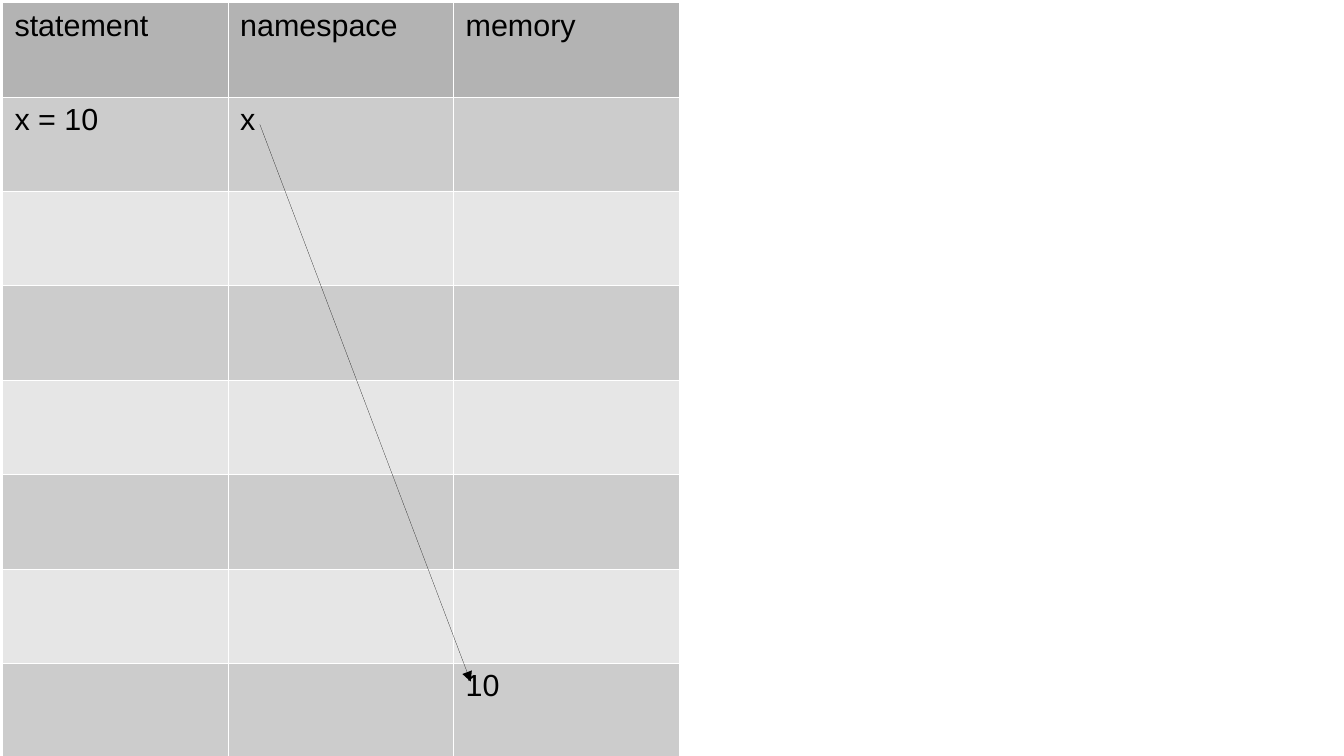
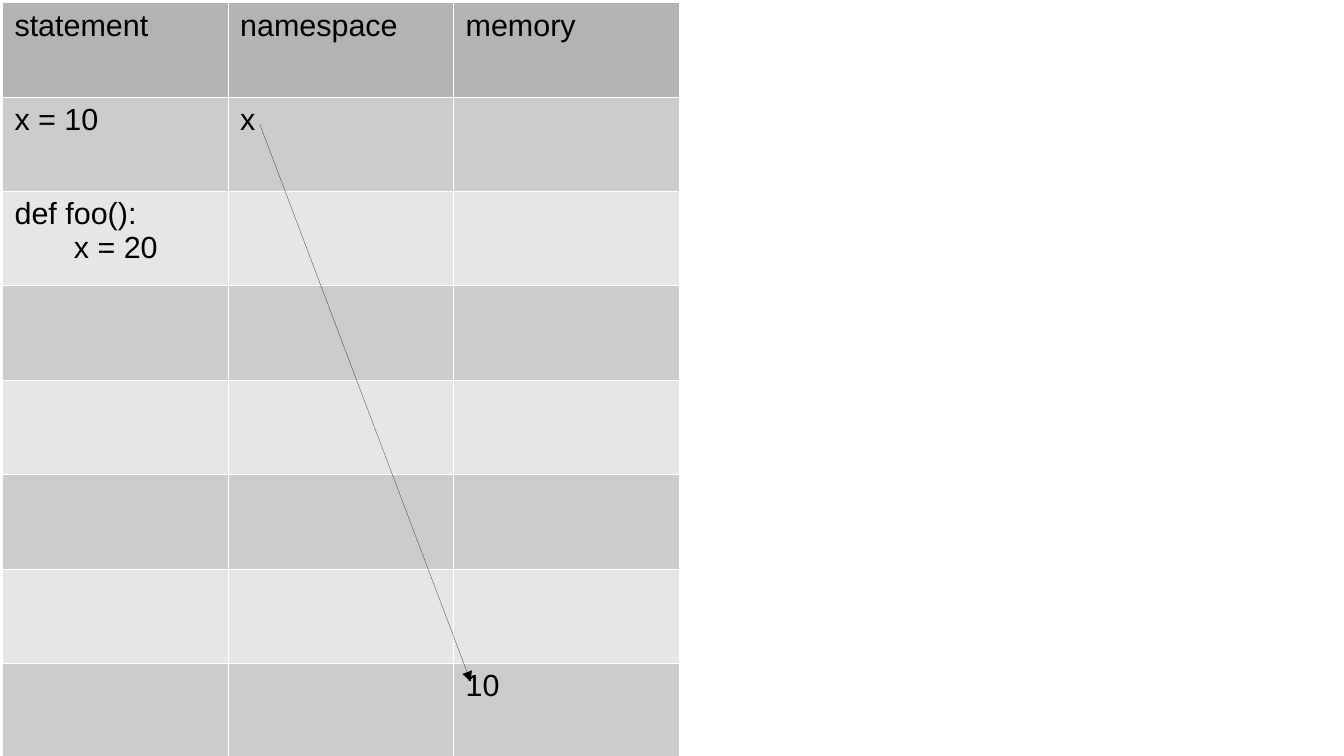
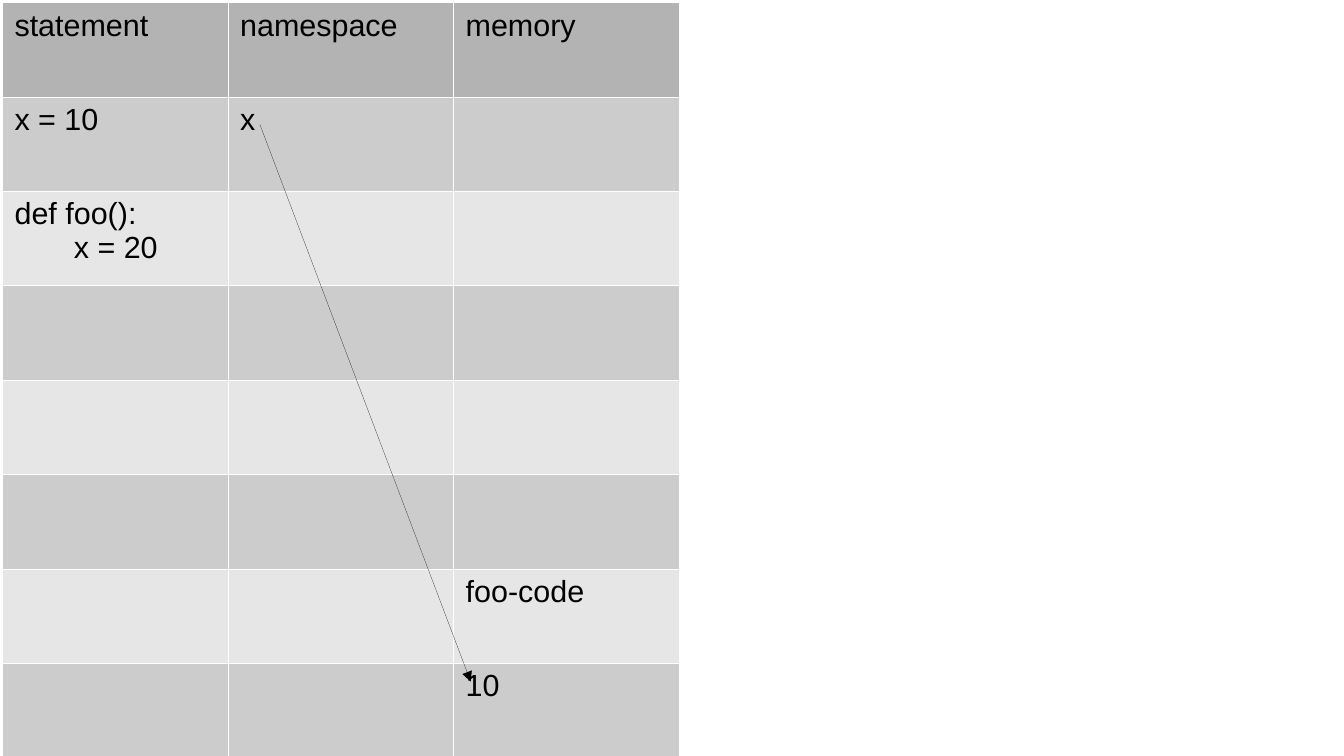
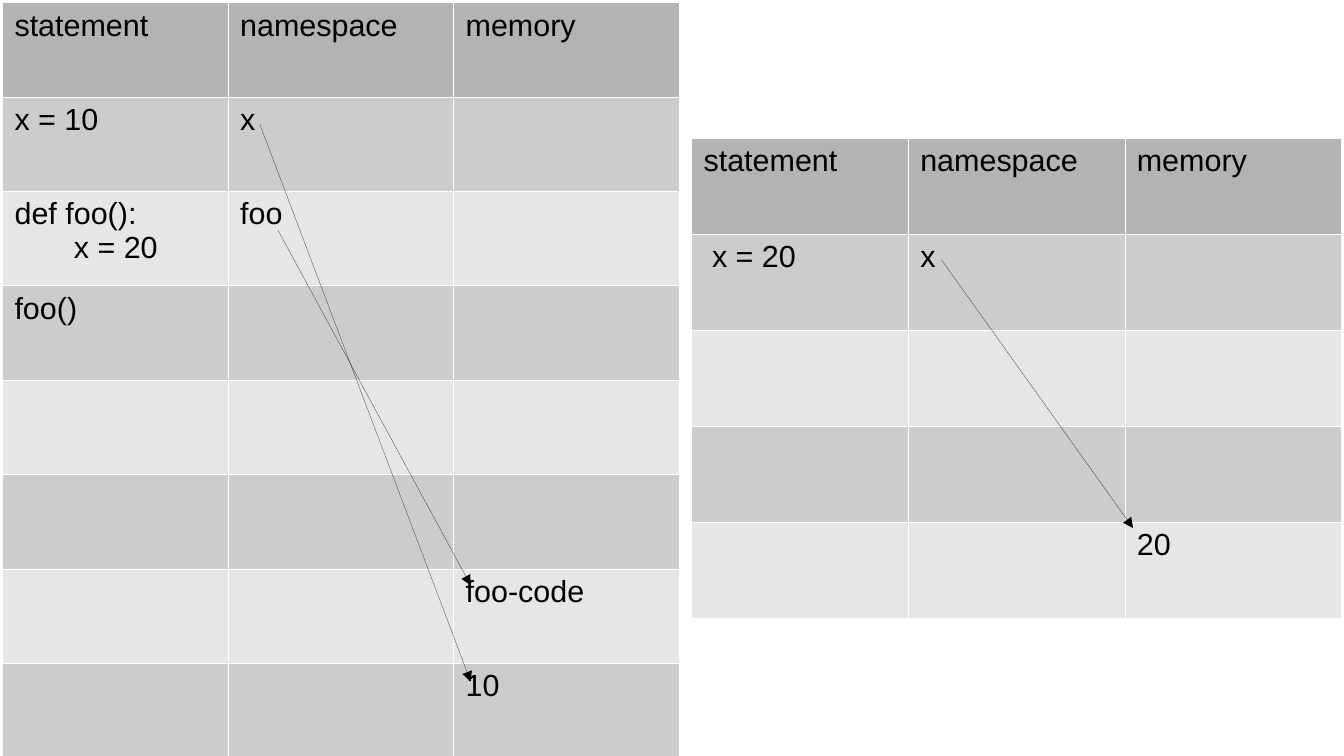
from lxml.etree import SubElement
from pptx import Presentation
from pptx.dml.color import RGBColor
from pptx.enum.shapes import MSO_CONNECTOR
from pptx.oxml.ns import qn
from pptx.util import Pt

# Shared look
FONT, TEXT_SIZE, TEXT_COLOUR = "Arial", 18, "000000"
HEADER_FILL, BAND_FILLS = "B3B3B3", ("CCCCCC", "E6E6E6")
BORDER_COLOUR, BORDER_WIDTH = "FFFFFF", 0.06
HEADINGS = ("statement", "namespace", "memory")


def colour(hex_code):
    return RGBColor.from_string(hex_code)


# Frames: left, top, column width, row height, row count
GLOBAL_FRAME = (1.4, 1.4, 133.2, 55.75, 8)
LOCAL_FRAME = (408.2, 81.4, 127.9, 56.7, 5)

# Cells by (row, column): lines of (text, indent)
assign_x = {(1, 0): [("x = 10", 0)], (1, 1): [("x", 0)], (7, 2): [("10", 0)]}
define_foo = assign_x | {(2, 0): [("def foo():", 0), ("x = 20", 35)]}
store_code = define_foo | {(6, 2): [("foo-code", 0)]}
call_foo = store_code | {(2, 1): [("foo", 0)], (3, 0): [("foo()", 0)]}
inside_foo = {(1, 0): [("x = 20", 5)], (1, 1): [("x", 0)], (4, 2): [("20", 0)]}

# Arrows from a name to its value: x1, y1, x2, y2
x_to_10 = (153.4, 73.4, 277.9, 402.5)
foo_to_code = (164.2, 136.1, 277.9, 345.6)
x_to_20 = (555.8, 153.4, 668.9, 311.8)

# Each step is one slide: its frames with their cells and arrows
steps = [[(GLOBAL_FRAME, cells, [x_to_10])]
         for cells in (assign_x, define_foo, store_code)]
steps.append([(GLOBAL_FRAME, call_foo, [x_to_10, foo_to_code]),
              (LOCAL_FRAME, inside_foo, [x_to_20])])

presentation = Presentation()
presentation.slide_width, presentation.slide_height = Pt(793.44), Pt(446.4)

for step in steps:
    slide = presentation.slides.add_slide(presentation.slide_layouts[6])
    for (left, top, column_width, row_height, row_count), cells, arrows in step:
        # Table of statements, names and values
        table = slide.shapes.add_table(
            row_count, len(HEADINGS), Pt(left), Pt(top),
            Pt(column_width * len(HEADINGS)), Pt(row_height * row_count)).table
        table.first_row = table.horz_banding = False
        for column in table.columns:
            column.width = Pt(column_width)
        for row_index, row in enumerate(table.rows):
            row.height = Pt(row_height)
            fill = BAND_FILLS[(row_index - 1) % 2] if row_index else HEADER_FILL
            for column_index, cell in enumerate(row.cells):
                # Borders come before the fill in the cell properties
                properties = cell._tc.get_or_add_tcPr()
                for side in ("a:lnL", "a:lnR", "a:lnT", "a:lnB"):
                    border = SubElement(properties, qn(side), w=str(Pt(BORDER_WIDTH)))
                    border_fill = SubElement(border, qn("a:solidFill"))
                    SubElement(border_fill, qn("a:srgbClr"), val=BORDER_COLOUR)
                cell.fill.solid()
                cell.fill.fore_color.rgb = colour(fill)

                if row_index == 0:
                    lines = [(HEADINGS[column_index], 0)]
                else:
                    lines = cells.get((row_index, column_index), [])
                cell.text = "\n".join(text for text, _ in lines)
                for paragraph, (_, indent) in zip(cell.text_frame.paragraphs, lines):
                    paragraph.font.name = FONT
                    paragraph.font.size = Pt(TEXT_SIZE)
                    paragraph.font.color.rgb = colour(TEXT_COLOUR)
                    if indent:
                        paragraph._p.get_or_add_pPr().set("marL", str(Pt(indent)))

        # Hairline arrows
        for ends in arrows:
            arrow = slide.shapes.add_connector(
                MSO_CONNECTOR.STRAIGHT, *(Pt(end) for end in ends))
            arrow.line.color.rgb = colour(TEXT_COLOUR)
            arrow.line.width = Pt(0)
            outline = arrow._element.spPr.find(qn("a:ln"))
            outline.set("w", "0")
            SubElement(outline, qn("a:tailEnd"), type="triangle")
            SubElement(arrow._element.spPr, qn("a:effectLst"))

presentation.save("out.pptx")
